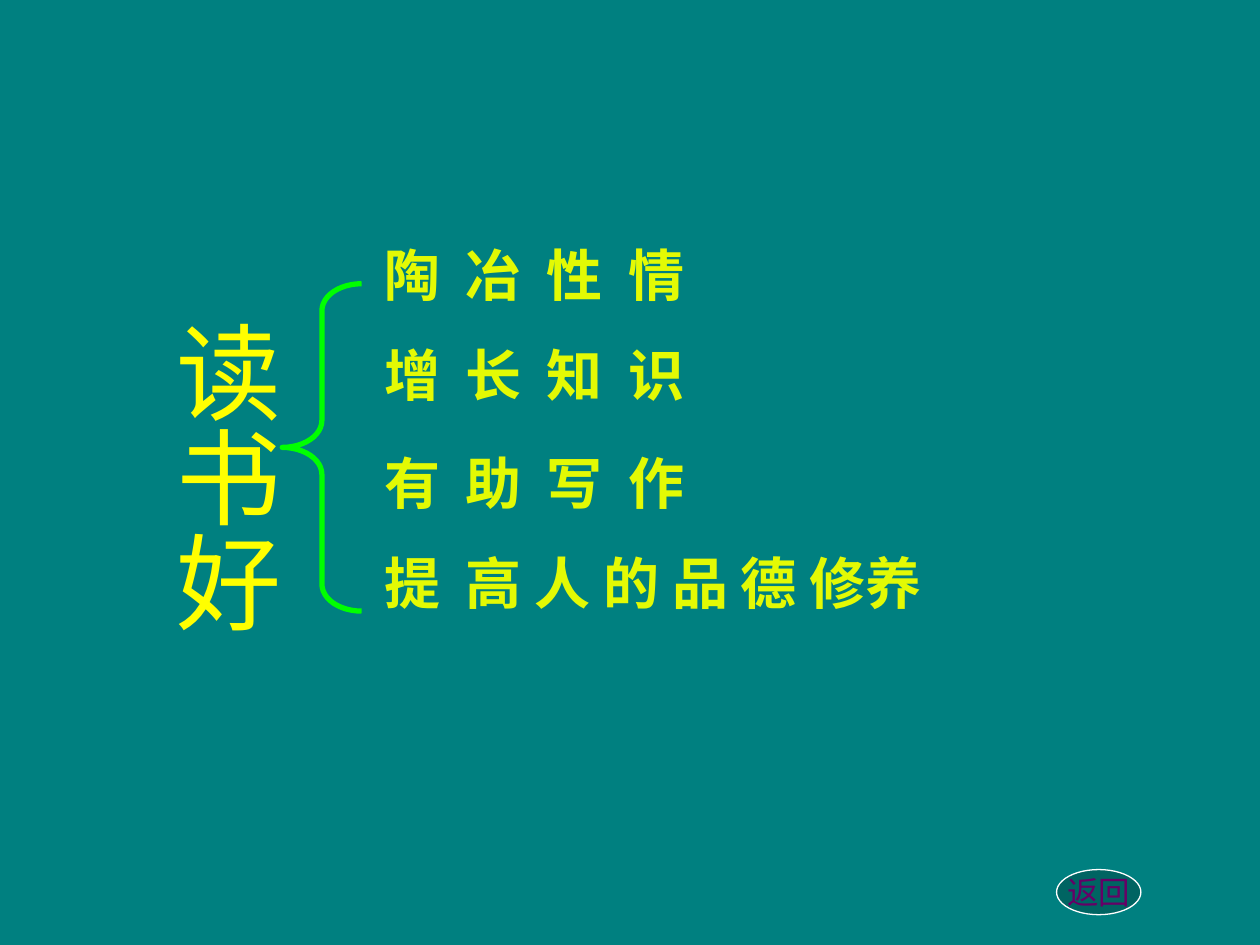
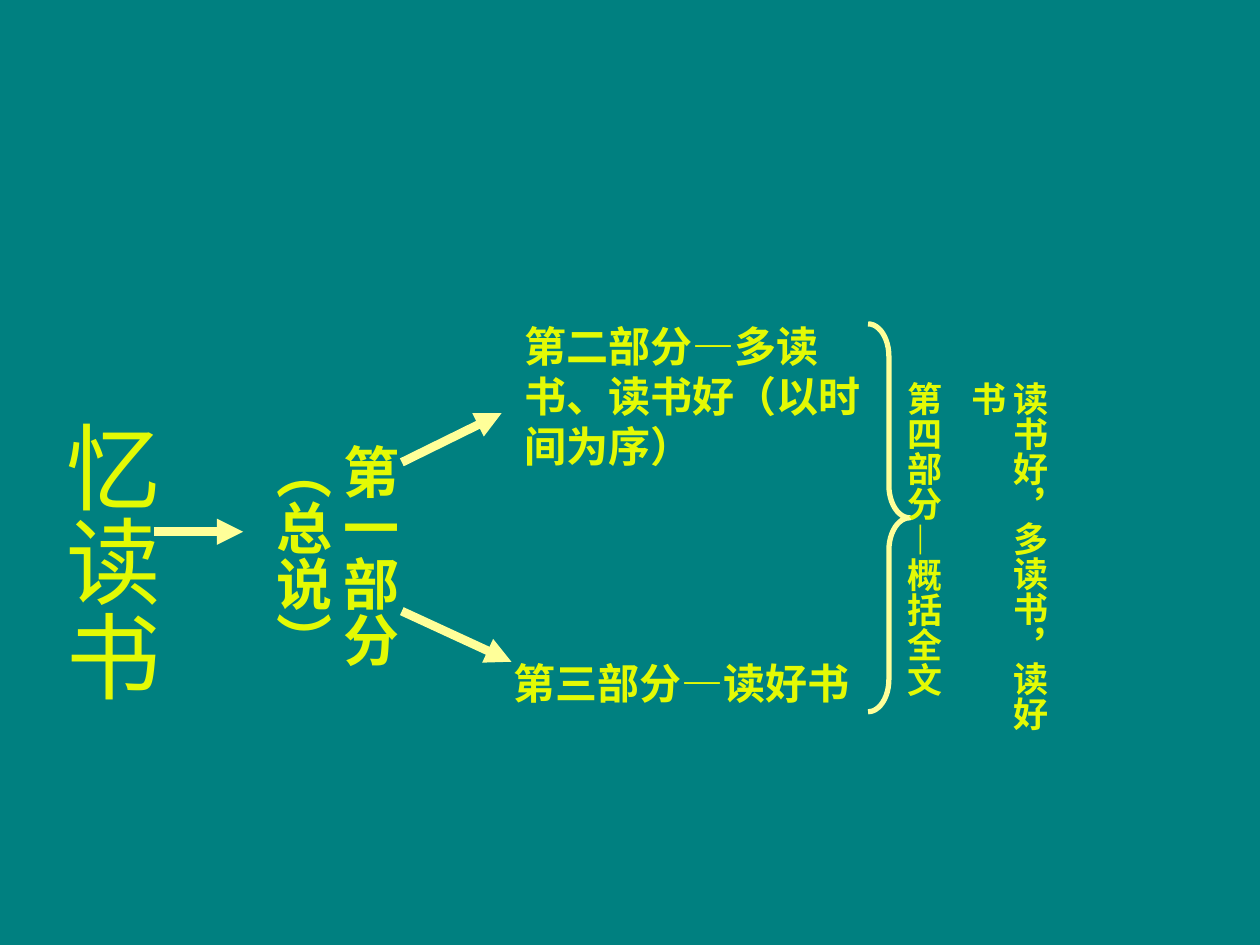
from lxml import etree
from pptx import Presentation
from pptx.dml.color import RGBColor
from pptx.enum.shapes import MSO_CONNECTOR, MSO_SHAPE
from pptx.enum.text import MSO_ANCHOR, MSO_AUTO_SIZE, PP_ALIGN
from pptx.oxml.ns import qn
from pptx.util import Cm, Pt

STRAIGHT = MSO_CONNECTOR.STRAIGHT
LEFT_BRACE, RIGHT_BRACE, OVAL = MSO_SHAPE.LEFT_BRACE, MSO_SHAPE.RIGHT_BRACE, MSO_SHAPE.OVAL
GROW = MSO_AUTO_SIZE.SHAPE_TO_FIT_TEXT
MIDDLE, CENTER = MSO_ANCHOR.MIDDLE, PP_ALIGN.CENTER

COLORS = {
    "background": "008080",
    "title": "FFFF00",
    "text": "E3FA04",
    "green": "00FF00",
    "cream": "FFFF99",
    "button": "006462",
    "button_line": "FFFFFF",
    "button_text": "660066",
}
FONT = "Arial"
BLANK = 6
WIDE_GAP = 3.6  # points added after each character in spread-out text


def color(name):
    return RGBColor.from_string(COLORS[name])


class Board:
    """Holds the shared style and the current slide."""

    def __init__(self):
        self.deck = Presentation()
        self.deck.slide_width, self.deck.slide_height = Cm(25.4), Cm(19.05)
        fill = self.deck.slide_master.background.fill
        fill.solid()
        fill.fore_color.rgb = color("background")
        self.page = None

    def new_page(self):
        self.page = self.deck.slides.add_slide(self.deck.slide_layouts[BLANK])

    def style(self, para, size, ink, bold=False):
        para._p.get_or_add_pPr().set("hangingPunct", "0")
        para.font.name, para.font.size = FONT, Pt(size)
        para.font.bold = bold
        para.font.color.rgb = color(ink)

    def text(self, place, lines, size, ink="text", bold=True, gap=0):
        """Each line is a list of (wording, character spacing) spans."""
        box = self.page.shapes.add_textbox(*map(Cm, place))
        frame = box.text_frame
        frame.word_wrap = True
        frame.auto_size = GROW
        for number, line in enumerate(lines):
            para = frame.add_paragraph() if number else frame.paragraphs[0]
            if number:
                para.space_before = Pt(gap)
            self.style(para, size, ink, bold)
            for wording, spacing in line:
                span = para.add_run()
                span.text = wording
                if spacing:
                    span._r.get_or_add_rPr().set("spc", str(round(spacing * 100)))
        return frame

    def column(self, place, lines, size, top_margin, **options):
        frame = self.text(place, [[(line, 0)] for line in lines], size, **options)
        frame._txBody.bodyPr.set("vert", "eaVert")
        frame.margin_left = frame.margin_right = Cm(0.13)
        frame.margin_top, frame.margin_bottom = Cm(top_margin), Cm(0.25)

    def brace(self, kind, place, ink, curve):
        brace = self.page.shapes.add_shape(kind, *map(Cm, place))
        brace.shadow.inherit = False
        brace.adjustments[0] = curve
        brace.fill.background()
        brace.line.color.rgb = color(ink)
        brace.line.width = Pt(3)

    def button(self, place, label):
        button = self.page.shapes.add_shape(OVAL, *map(Cm, place))
        button.shadow.inherit = False
        button.fill.solid()
        button.fill.fore_color.rgb = color("button")
        button.line.color.rgb = color("button_line")
        button.line.width = Pt(0.75)
        frame = button.text_frame
        frame.word_wrap = False
        frame.vertical_anchor = MIDDLE
        para = frame.paragraphs[0]
        para.text, para.alignment = label, CENTER
        self.style(para, 18, "button_text")

    def arrow(self, *ends):
        arrow = self.page.shapes.add_connector(STRAIGHT, *map(Cm, ends))
        arrow.line.color.rgb = color("cream")
        arrow.line.width = Pt(5)
        etree.SubElement(arrow.line._get_or_add_ln(), qn("a:tailEnd"), type="triangle")
        etree.SubElement(arrow._element.spPr, qn("a:effectLst"))


def benefits_page(board):
    board.new_page()
    # Topic and brace
    board.column((2.9, 5.72, 3.05, 7.8), ["读书好"], 60, 0.73, ink="title", bold=False)
    board.brace(LEFT_BRACE, (5.69, 5.72, 1.6, 6.6), "green", 0.34)
    # Benefits of reading
    benefits = [
        (4.72, 8.61, [("陶 冶 性 情", WIDE_GAP)]),
        (6.73, 7.39, [("增 长 知 识", WIDE_GAP)]),
        (8.92, 8, [("有 助 写 作", WIDE_GAP)]),
        (10.93, 12, [("提 ", WIDE_GAP), ("高 人 的 品 德 修养", 0)]),
    ]
    for top, width, spans in benefits:
        board.text((7.5, top, width, 1.63), [spans], 32)
    # Return button
    board.button((21.3, 17.53, 1.7, 0.91), "返回")


def structure_page(board):
    board.new_page()
    # Title and opening part
    board.column((0.71, 7.92, 2.79, 6.81), ["忆读书"], 54, 0.55, bold=False)
    board.column((2.98, 8.53, 5.28, 5.41), ["第一部分（总说）"], 32, 0.43)
    # Middle parts
    board.text((10.32, 6.33, 7.29, 3.3), [[("第二部分—多读书、读书好（以时间为序）", 0)]], 24)
    board.text((10.11, 13.13, 8.1, 1.27), [[("第三部分—读好书", 0)]], 24)
    # Closing part
    board.brace(RIGHT_BRACE, (17.5, 6.53, 0.84, 7.82), "cream", 0.78)
    board.column((18.11, 7.14, 3.2, 8.2), ["读书好，多读书，读好书", "第四部分—概括全文"],
                 20, 0.55, gap=12.5)
    # Arrows between the parts
    board.arrow(3.1, 10.72, 4.9, 10.72)
    board.arrow(8.1, 9.32, 10.11, 8.33)
    board.arrow(8.1, 12.32, 10.31, 13.34)


def main():
    board = Board()
    benefits_page(board)
    structure_page(board)
    board.deck.save("out.pptx")


if __name__ == "__main__":
    main()
